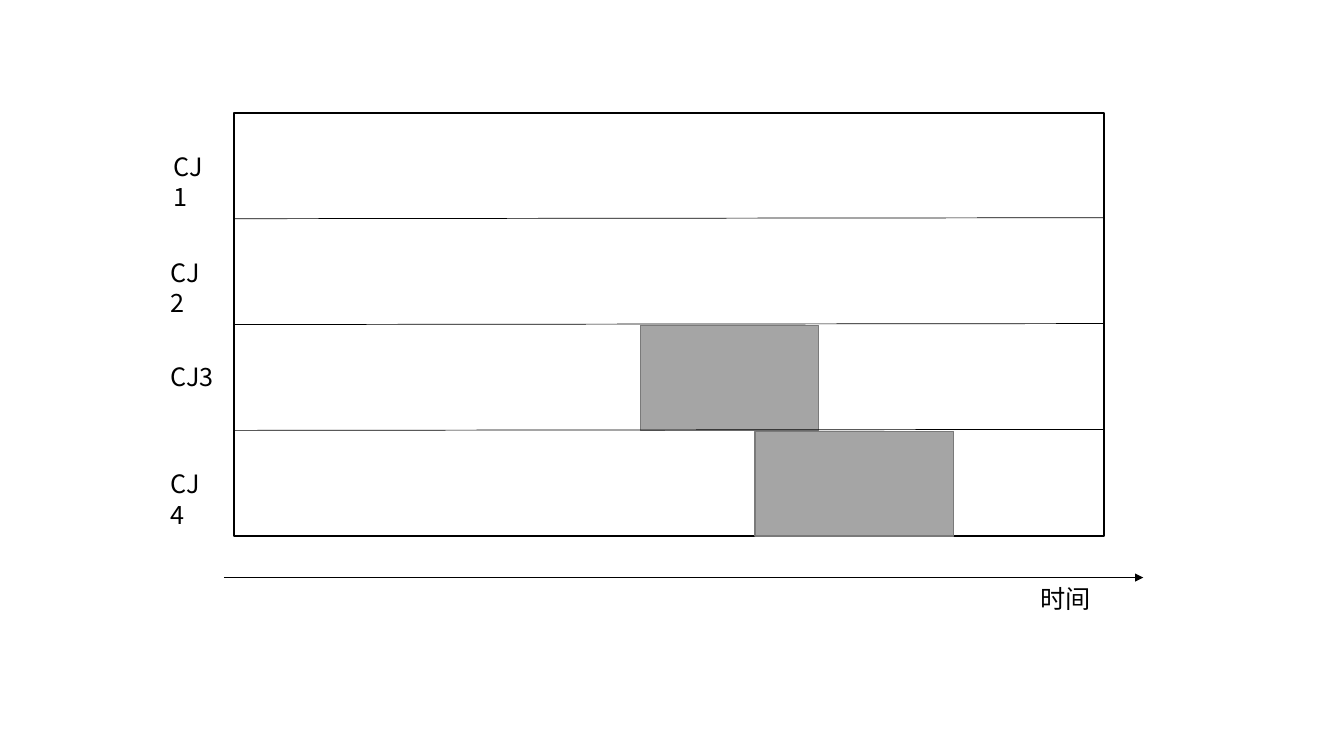
from dataclasses import dataclass

from lxml.etree import SubElement
from pptx import Presentation
from pptx.dml.color import RGBColor
from pptx.enum.shapes import MSO_CONNECTOR, MSO_SHAPE
from pptx.enum.text import MSO_AUTO_SIZE
from pptx.oxml.ns import qn
from pptx.slide import Slide
from pptx.util import Inches, Pt

COLORS = {"ink": "000000", "paper": "FFFFFF", "busy": "A5A5A5", "busy_edge": "7A7A7A"}
FONT = "Noto Sans CJK SC"
CHART_LEFT, CHART_TOP, CHART_WIDTH = 2.32, 1.12, 8.63
ROW_HEIGHT, ROW_COUNT = 1.05, 4


@dataclass
class Block:
    left: float
    top: float
    width: float
    height: float
    fill: str
    edge: str


@dataclass
class Label:
    text: str
    left: float
    top: float
    width: float


BLOCKS = [
    Block(CHART_LEFT, CHART_TOP, CHART_WIDTH, ROW_HEIGHT * ROW_COUNT, "paper", "ink"),
    Block(7.49, 4.28, 1.97, 1.04, "busy", "busy_edge"),
    Block(6.35, 3.23, 1.77, 1.04, "busy", "busy_edge"),
]
LABELS = [
    Label("CJ1", 1.62, 1.45, 0.58),
    Label("CJ2", 1.59, 2.5, 0.58),
    Label("CJ3", 1.59, 3.54, 0.99),
    Label("CJ4", 1.59, 4.6, 0.58),
    Label("时间", 10.22, 5.74, 1.47),
]


def color(name: str) -> RGBColor:
    return RGBColor.from_string(COLORS[name])


def add_block(page: Slide, block: Block) -> None:
    shape = page.shapes.add_shape(
        MSO_SHAPE.RECTANGLE, Inches(block.left), Inches(block.top),
        Inches(block.width), Inches(block.height))
    shape.shadow.inherit = False
    shape.fill.solid()
    shape.fill.fore_color.rgb = color(block.fill)
    shape.line.color.rgb = color(block.edge)
    shape.line.width = Pt(1)


def add_line(page: Slide, start: tuple[float, float], end: tuple[float, float],
             arrow: bool = False) -> None:
    line = page.shapes.add_connector(
        MSO_CONNECTOR.STRAIGHT, Inches(start[0]), Inches(start[1]),
        Inches(end[0]), Inches(end[1]))
    line.line.color.rgb = color("ink")
    line.line.width = Pt(0.5)
    if arrow:
        SubElement(line.line._get_or_add_ln(), qn("a:tailEnd"), type="triangle")
    SubElement(line._element.spPr, qn("a:effectLst"))


def add_text(page: Slide, text: str, *, left: float, top: float, width: float,
             height: float = 0.4, size: float = 18, ink: str = "ink") -> None:
    box = page.shapes.add_textbox(Inches(left), Inches(top), Inches(width), Inches(height))
    frame = box.text_frame
    frame.word_wrap = True
    frame.auto_size = MSO_AUTO_SIZE.SHAPE_TO_FIT_TEXT
    span = frame.paragraphs[0].add_run()
    span.text = text
    span.font.size = Pt(size)
    span.font.name = FONT
    span.font.color.rgb = color(ink)
    SubElement(span.font._element, qn("a:ea"), typeface=FONT)


def main() -> None:
    deck = Presentation()
    deck.slide_width, deck.slide_height = Inches(13.33), Inches(7.5)
    page = deck.slides.add_slide(deck.slide_layouts[6])
    for block in BLOCKS:
        add_block(page, block)
    for row in range(1, ROW_COUNT):
        divider = CHART_TOP + row * ROW_HEIGHT
        add_line(page, (CHART_LEFT, divider), (CHART_LEFT + CHART_WIDTH, divider - 0.01))
    add_line(page, (2.22, 5.73), (11.34, 5.73), arrow=True)
    for label in LABELS:
        add_text(page, label.text, left=label.left, top=label.top, width=label.width)
    deck.save("out.pptx")


if __name__ == "__main__":
    main()
